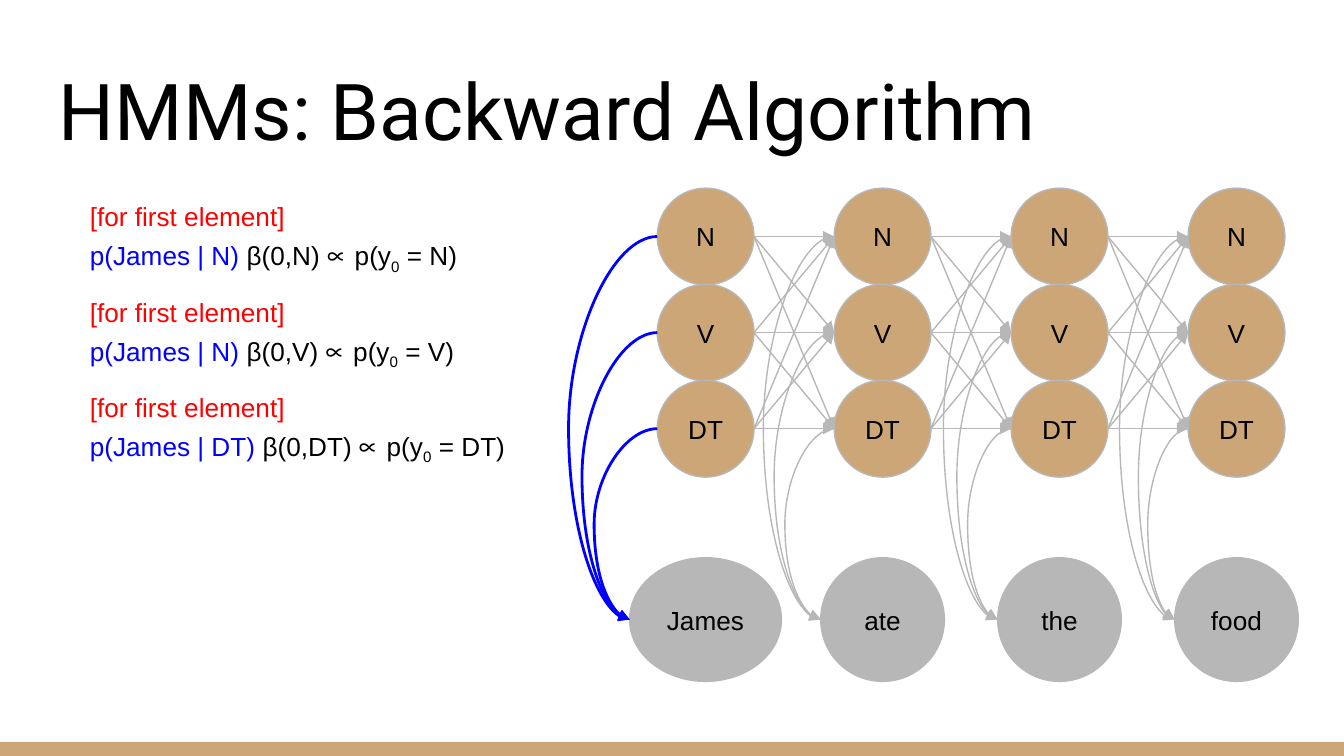
"""Build the slide on the backward algorithm for hidden Markov models."""
from dataclasses import dataclass
from itertools import product

from lxml import etree
from pptx import Presentation
from pptx.dml.color import RGBColor
from pptx.enum.shapes import MSO_CONNECTOR, MSO_SHAPE
from pptx.enum.text import MSO_ANCHOR, PP_ALIGN
from pptx.oxml.ns import qn
from pptx.util import Inches, Pt

ELLIPSE, RECTANGLE = MSO_SHAPE.OVAL, MSO_SHAPE.RECTANGLE
STRAIGHT, CURVE = MSO_CONNECTOR.STRAIGHT, MSO_CONNECTOR.CURVE
MIDDLE, BOTTOM = MSO_ANCHOR.MIDDLE, MSO_ANCHOR.BOTTOM
CENTER = PP_ALIGN.CENTER


@dataclass(frozen=True)
class Theme:
    tan: RGBColor = RGBColor(0xCC, 0xA6, 0x77)
    gray: RGBColor = RGBColor(0xB7, 0xB7, 0xB7)
    blue: RGBColor = RGBColor(0x00, 0x00, 0xFF)
    red: RGBColor = RGBColor(0xFF, 0x00, 0x00)
    black: RGBColor = RGBColor(0x00, 0x00, 0x00)
    title_font: str = "Roboto"
    body_font: str = "Arial"
    symbol_font: str = "Courier New"
    title_size: int = 42
    body_size: int = 14
    symbol_size: int = 18
    thin: float = 0.75
    thick: float = 1.5


@dataclass(frozen=True)
class Word:
    text: str
    width: float
    bends: tuple[float, ...]
    color: RGBColor
    weight: float


@dataclass(frozen=True)
class Equation:
    state: str
    given: str


def spread(first: float, last: float, count: int) -> list[float]:
    return [first + i * (last - first) / (count - 1) for i in range(count)]


THEME = Theme()
STATES = ("N", "V", "DT")
WORDS = (
    Word("James", 1.13, (4.23, 4.33, 4.42), THEME.blue, THEME.thick),
    Word("ate", 0.92, (5.68, 5.76, 5.84), THEME.gray, THEME.thin),
    Word("the", 0.92, (7.02, 7.12, 7.2), THEME.gray, THEME.thin),
    Word("food", 0.92, (8.33, 8.47, 8.54), THEME.gray, THEME.thin),
)
EQUATIONS = (Equation("N", "N"), Equation("V", "N"), Equation("DT", "DT"))
STATE_SIZE, WORD_HEIGHT, WORD_Y = 0.72, 0.92, 4.61
COLUMNS = spread(5.25, 9.2, len(WORDS))
ROWS = spread(1.76, 3.19, len(STATES))
EQUATION_ROWS = spread(1.77, 3.19, len(EQUATIONS))


def set_font(font, size: float, name: str, color: RGBColor) -> None:
    font.size, font.name = Pt(size), name
    font.color.rgb = color


def set_margins(frame, margin: float) -> None:
    frame.margin_left = frame.margin_right = Inches(margin)
    frame.margin_top = frame.margin_bottom = Inches(margin)


def add_node(page, text: str, x: float, y: float, width: float, height: float, fill: RGBColor) -> None:
    node = page.shapes.add_shape(
        ELLIPSE, Inches(x - width / 2), Inches(y - height / 2), Inches(width), Inches(height))
    node.shadow.inherit = False
    node.fill.solid()
    node.fill.fore_color.rgb = fill
    node.line.color.rgb = THEME.gray
    node.line.width = Pt(THEME.thin)
    frame = node.text_frame
    set_margins(frame, 0.1)
    frame.word_wrap = True
    frame.vertical_anchor = MIDDLE
    para = frame.paragraphs[0]
    para.text, para.alignment = text, CENTER
    set_font(para.font, THEME.body_size, THEME.body_font, THEME.black)


def add_arrow(page, kind, start: tuple[float, float], end: tuple[float, float],
              color: RGBColor, weight: float, arrow_end: str):
    arrow = page.shapes.add_connector(kind, *map(Inches, start + end))
    arrow.line.color.rgb = color
    arrow.line.width = Pt(weight)
    properties = arrow._element.spPr
    etree.SubElement(properties.find(qn("a:ln")), qn(arrow_end), type="triangle")
    etree.SubElement(properties, qn("a:effectLst"))
    return arrow


def add_emission(page, word: Word, x: float, y: float, bend: float) -> None:
    left, right = x - word.width / 2, x - STATE_SIZE / 2
    arrow = add_arrow(page, CURVE, (right, y), (left, WORD_Y), word.color, word.weight, "a:headEnd")
    properties = arrow._element.spPr
    properties.find(qn("a:xfrm")).set("rot", "10800000")
    geometry = properties.find(qn("a:prstGeom"))
    guides = geometry.find(qn("a:avLst"))
    if guides is None:
        guides = etree.SubElement(geometry, qn("a:avLst"))
    ratio = round((bend - left) / (right - left) * 100000)
    etree.SubElement(guides, qn("a:gd"), name="adj1", fmla=f"val {ratio}")


def add_text_box(page, left: float, top: float, width: float, height: float, anchor):
    box = page.shapes.add_textbox(Inches(left), Inches(top), Inches(width), Inches(height))
    frame = box.text_frame
    frame.word_wrap = True
    frame.vertical_anchor = anchor
    set_margins(frame, 0.1)
    return frame


def add_equation(page, equation: Equation, y: float) -> None:
    frame = add_text_box(page, 0.57, y - STATE_SIZE / 2, 3.51, STATE_SIZE, MIDDLE)
    heading = frame.paragraphs[0]
    heading.text = "[for first element]"
    set_font(heading.font, THEME.body_size, THEME.body_font, THEME.red)
    para = frame.add_paragraph()
    body = (THEME.body_size, THEME.body_font)
    symbol = (THEME.symbol_size, THEME.symbol_font)
    for text, style, color, baseline in (
        (f"p(James | {equation.given})", body, THEME.blue, 0),
        (f" β(0,{equation.state}) ", body, THEME.black, 0),
        ("∝", symbol, THEME.black, 0),
        (" p(y", body, THEME.black, 0),
        ("0", body, THEME.black, -25000),
        (f" = {equation.state})", body, THEME.black, 0),
    ):
        span = para.add_run()
        span.text = text
        set_font(span.font, *style, color)
        if baseline:
            span._r.get_or_add_rPr().set("baseline", str(baseline))


def main() -> None:
    deck = Presentation()
    deck.slide_width = Inches(10)
    deck.slide_height = deck.slide_width * 9 // 16
    page = deck.slides.add_slide(deck.slide_layouts[6])

    footer_top = Inches(5.52)
    footer = page.shapes.add_shape(
        RECTANGLE, 0, footer_top, deck.slide_width, deck.slide_height - footer_top)
    footer.shadow.inherit = False
    footer.fill.solid()
    footer.fill.fore_color.rgb = THEME.tan
    footer.line.fill.background()

    title = add_text_box(page, 0.34, 0.35, 9.32, 0.91, BOTTOM).paragraphs[0]
    title.text = "HMMs: Backward Algorithm"
    set_font(title.font, THEME.title_size, THEME.title_font, THEME.black)

    for word, x in zip(WORDS, COLUMNS):
        add_node(page, word.text, x, WORD_Y, word.width, WORD_HEIGHT, THEME.gray)
        for state, y in zip(STATES, ROWS):
            add_node(page, state, x, y, STATE_SIZE, STATE_SIZE, THEME.tan)
    for x, next_x in zip(COLUMNS, COLUMNS[1:]):
        for y, next_y in product(ROWS, ROWS):
            add_arrow(page, STRAIGHT, (x + STATE_SIZE / 2, y), (next_x - STATE_SIZE / 2, next_y),
                      THEME.gray, THEME.thin, "a:tailEnd")
    for word, x in zip(WORDS, COLUMNS):
        for y, bend in zip(ROWS, word.bends):
            add_emission(page, word, x, y, bend)
    for equation, y in zip(EQUATIONS, EQUATION_ROWS):
        add_equation(page, equation, y)

    deck.save("out.pptx")


if __name__ == "__main__":
    main()
